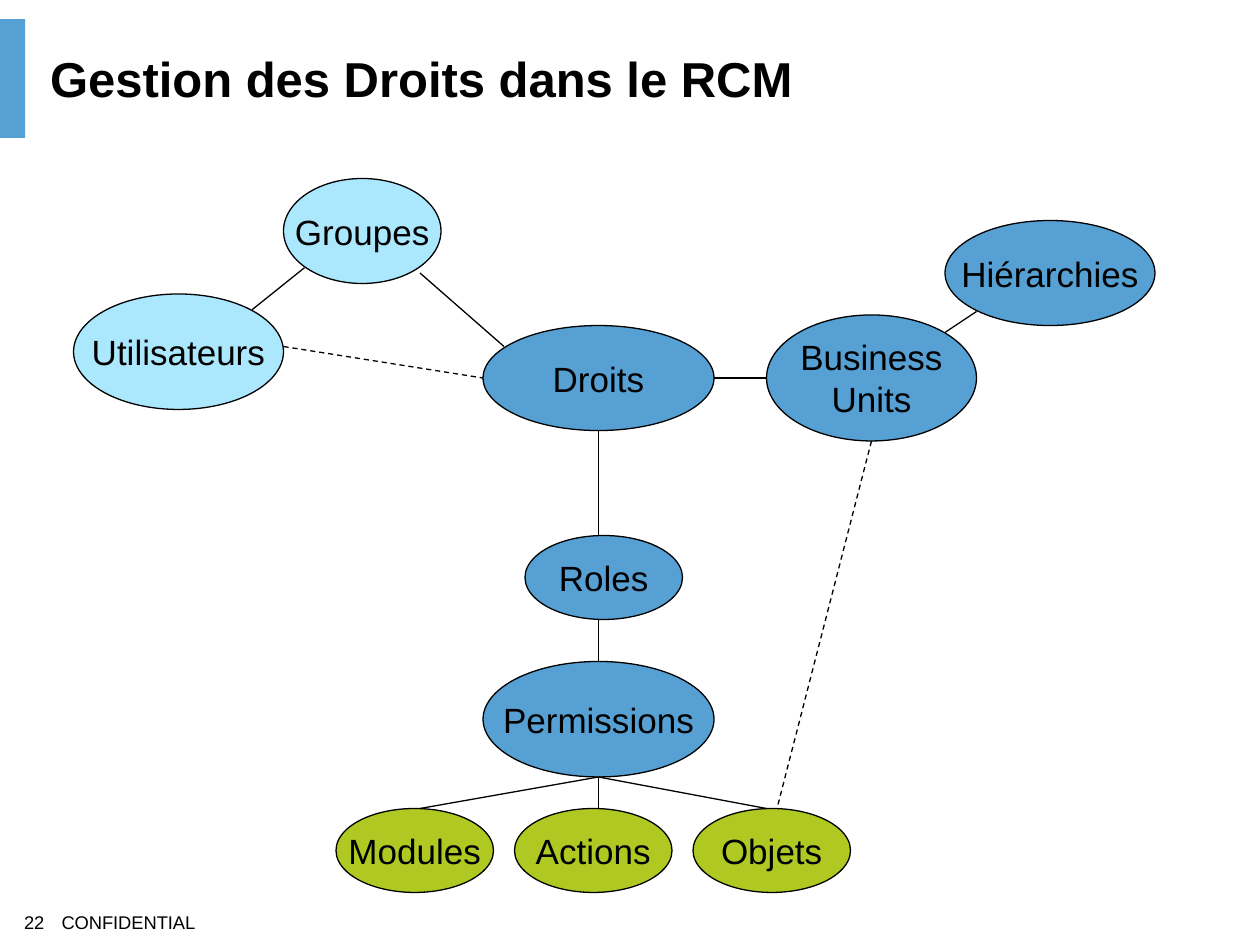
"""Build the slide that maps how rights are managed in the RCM."""
from lxml.etree import SubElement
from pptx import Presentation
from pptx.dml.color import RGBColor
from pptx.enum.dml import MSO_LINE
from pptx.enum.shapes import MSO_CONNECTOR, MSO_SHAPE
from pptx.enum.text import MSO_ANCHOR, PP_ALIGN
from pptx.oxml.ns import qn
from pptx.util import Pt

BLACK = RGBColor(0x00, 0x00, 0x00)
BLUE = RGBColor(0x56, 0xA0, 0xD3)
SKY = RGBColor(0xAB, 0xE8, 0xFD)
GREEN = RGBColor(0xB0, 0xC8, 0x22)


class RightsSlide:
    font = {"name": "Arial", "size": Pt(20), "bold": False}
    line_width = Pt(0.75)

    def __init__(self, deck):
        self.slide = deck.slides.add_slide(deck.slide_layouts[6])
        self.shapes = self.slide.shapes

    def set_text(self, frame, text, align, **changes):
        frame.text = text
        for paragraph in frame.paragraphs:
            paragraph.alignment = align
            for key, value in {**self.font, **changes}.items():
                setattr(paragraph.font, key, value)
            paragraph.font.color.rgb = BLACK

    def shape(self, kind, box, fill):
        shape = self.shapes.add_shape(kind, *map(Pt, box))
        shape.shadow.inherit = False
        shape.fill.solid()
        shape.fill.fore_color.rgb = fill
        return shape

    def bar(self, box, fill):
        self.shape(MSO_SHAPE.RECTANGLE, box, fill).line.fill.background()

    def node(self, text, box, fill):
        oval = self.shape(MSO_SHAPE.OVAL, box, fill)
        oval.line.color.rgb = BLACK
        oval.line.width = self.line_width
        oval.text_frame.word_wrap = False
        oval.text_frame.vertical_anchor = MSO_ANCHOR.MIDDLE
        self.set_text(oval.text_frame, text, PP_ALIGN.CENTER)

    def link(self, start, end, dash=None):
        link = self.shapes.add_connector(MSO_CONNECTOR.STRAIGHT, *map(Pt, start + end))
        link.line.color.rgb = BLACK
        link.line.width = self.line_width
        link.line.dash_style = dash
        SubElement(link._element.spPr, qn("a:effectLst"))

    def label(self, text, box, anchor, align=PP_ALIGN.LEFT, **changes):
        frame = self.shapes.add_textbox(*map(Pt, box)).text_frame
        frame.word_wrap = True
        frame.vertical_anchor = anchor
        self.set_text(frame, text, align, **changes)


def main():
    deck = Presentation()
    deck.slide_width, deck.slide_height = Pt(720), Pt(540)
    rights = RightsSlide(deck)

    rights.bar((0, 11, 14.4, 67.8), BLUE)
    rights.label("22", (-17.3, 512.6, 49.7, 28.8), MSO_ANCHOR.MIDDLE,
                 PP_ALIGN.RIGHT, size=Pt(10.5))
    rights.label("CONFIDENTIAL", (28.1, 517, 127.4, 20), MSO_ANCHOR.TOP, size=Pt(10.5))

    for name, box, fill in (
        ("Utilisateurs", (42, 168, 120, 66), SKY),
        ("Groupes", (162, 102, 90, 60), SKY),
        ("Roles", (300, 306, 90, 48), BLUE),
        ("Business\nUnits", (438, 180, 120, 72), BLUE),
        ("Hiérarchies", (540, 126, 120, 60), BLUE),
        ("Droits", (276, 186, 132, 60), BLUE),
        ("Permissions", (276, 378, 132, 66), BLUE),
    ):
        rights.node(name, box, fill)

    for column, target in enumerate(("Modules", "Actions", "Objets")):
        rights.node(target, (192 + 102 * column, 462, 90, 48), GREEN)

    for start, end in (
        ((240, 156), (288, 198)),
        ((174, 153), (144, 177)),
        ((438, 216), (408, 216)),
        ((540, 190), (558, 178)),
        ((342, 246), (342, 306)),
        ((342, 354), (342, 378)),
    ):
        rights.link(start, end)
    for target_x in (240, 342, 438):
        rights.link((342, 444), (target_x, 462))
    rights.link((162, 198), (276, 216), MSO_LINE.DASH)
    rights.link((498, 252), (444, 462), MSO_LINE.DASH)

    rights.label("Gestion des Droits dans le RCM", (21.6, 21.6, 666.7, 46),
                 MSO_ANCHOR.MIDDLE, size=Pt(28), bold=True)
    deck.save("out.pptx")


if __name__ == "__main__":
    main()
